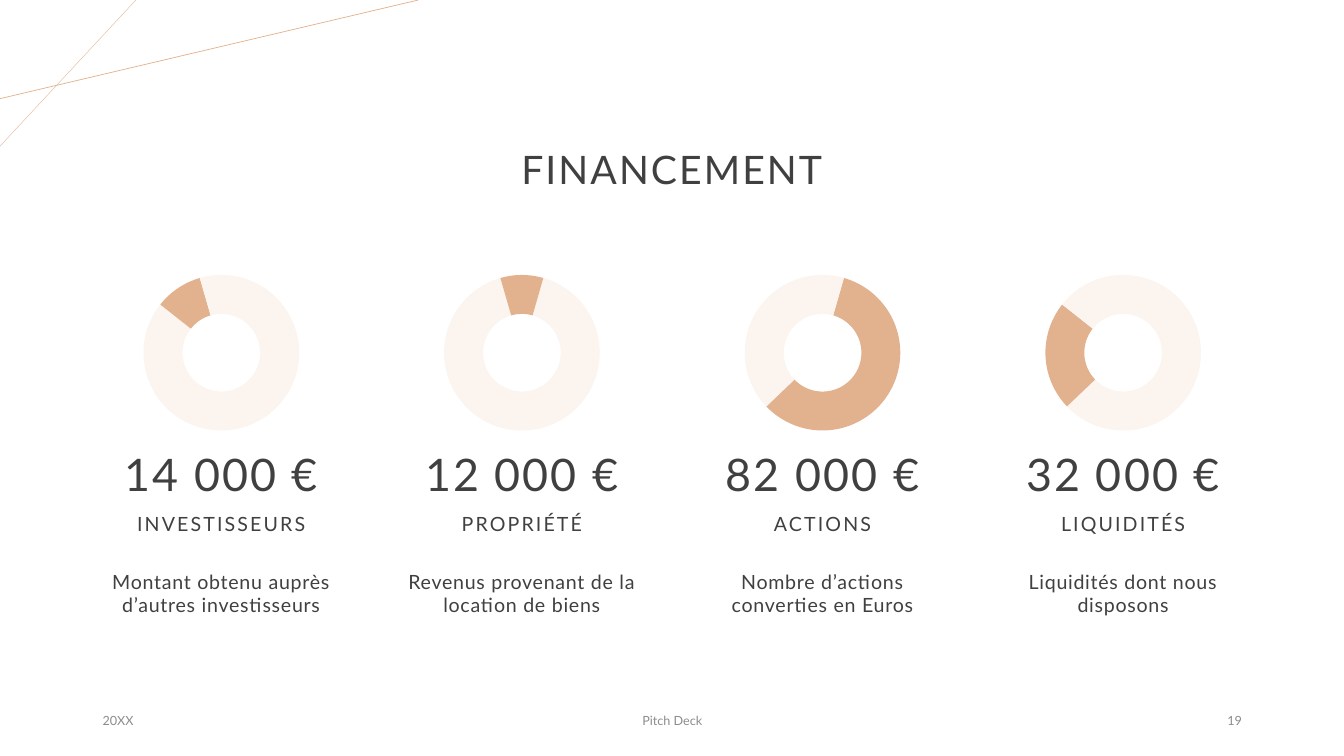
from pptx import Presentation
from pptx.chart.data import CategoryChartData
from pptx.dml.color import RGBColor
from pptx.enum.chart import XL_CHART_TYPE
from pptx.enum.text import MSO_ANCHOR, MSO_AUTO_SIZE, PP_ALIGN
from pptx.oxml import parse_xml
from pptx.oxml.ns import nsdecls, qn
from pptx.util import Pt
from lxml.etree import SubElement

INK = RGBColor(0x40, 0x40, 0x40)
GREY = RGBColor(0x8C, 0x8C, 0x8C)
SAND = RGBColor(0xE2, 0xB1, 0x8D)
PALE = RGBColor(0xFB, 0xF4, 0xEF)
BLACK = RGBColor(0, 0, 0)
FACE = "Lato"
WIDE, HIGH = 960, 540
SHARES = (59, 23, 10, 9)
FUNDS = (
    ("14 000 €", "INVESTISSEURS", "Montant obtenu auprès d’autres investisseurs", 2),
    ("12 000 €", "PROPRIÉTÉ", "Revenus provenant de la location de biens", 3),
    ("82 000 €", "ACTIONS", "Nombre d’actions converties en Euros", 0),
    ("32 000 €", "LIQUIDITÉS", "Liquidités dont nous disposons", 1),
)


def apply(item, style):
    for name, value in style.items():
        setattr(item, name, value)


def place(shape, box):
    names = ("left", "top", "width", "height")
    apply(shape, {name: Pt(value) for name, value in zip(names, box)})


def write(shape, text, size, color=INK, align=PP_ALIGN.CENTER,
          anchor=MSO_ANCHOR.MIDDLE, space=0, lead=1.0, side=7.2):
    frame = shape.text_frame
    frame.text = text
    apply(frame, {
        "word_wrap": True, "auto_size": MSO_AUTO_SIZE.NONE,
        "vertical_anchor": anchor,
        "margin_left": Pt(side), "margin_right": Pt(side),
        "margin_top": Pt(3.6), "margin_bottom": Pt(3.6),
    })
    para = frame.paragraphs[0]
    apply(para, {"alignment": align, "line_spacing": lead, "space_before": Pt(0)})
    run = para.runs[0]
    apply(run.font, {"name": FACE, "size": Pt(size), "bold": False})
    run.font.color.rgb = color
    if space:
        run.font._element.set("spc", str(int(space * 100)))


def label(slide, box, text, size, **style):
    shape = slide.shapes.add_textbox(*map(Pt, box))
    write(shape, text, size, **style)


def corner(slide, box):
    left, top, width, height = box
    rays = ((0.325, 1, 0.25), (1, 0.675, 0.5))
    for across, down, weight in rays:
        line = slide.shapes.add_connector(
            1, Pt(left + width * across), Pt(top), Pt(left), Pt(top + height * down))
        line.line.color.rgb = SAND
        line.line.width = Pt(weight)
        SubElement(line._element.spPr, qn("a:effectLst"))


def heading(slide, box):
    title = slide.shapes.title
    place(title, box)
    write(title, "FINANCEMENT", 28, space=1.5, lead=0.9)


def ring(slide, box, mark):
    data = CategoryChartData()
    data.categories = ("1", "2", "3", "4")
    data.add_series("Series 1", SHARES)
    chart = slide.shapes.add_chart(
        XL_CHART_TYPE.DOUGHNUT, *map(Pt, box), data).chart
    apply(chart, {"has_legend": False, "has_title": False})
    apply(chart.font, {"name": FACE, "size": Pt(10)})
    chart.font.color.rgb = BLACK
    plot = chart.plots[0]
    apply(plot, {"vary_by_categories": True, "has_data_labels": False})
    for index in range(len(SHARES)):
        look = plot.series[0].points[index].format
        look.fill.solid()
        look.fill.fore_color.rgb = SAND if index == mark else PALE
        look.line.fill.background()
    root = plot._element
    root.find(qn("c:firstSliceAng")).set("val", "16")
    root.find(qn("c:holeSize")).set("val", "80")
    area = root.getparent()
    for old in area.findall(qn("c:layout")):
        area.remove(old)
    parts = (("x", 0.12), ("y", 0.075), ("w", 0.76), ("h", 0.85))
    sizes = "".join(f'<c:{key} val="{value}"/>' for key, value in parts)
    area.insert(0, parse_xml(
        f'<c:layout {nsdecls("c")}><c:manualLayout><c:layoutTarget val="inner"/>'
        f'<c:xMode val="edge"/><c:yMode val="edge"/>{sizes}'
        '</c:manualLayout></c:layout>'))


def column(slide, box, fund):
    left, top, width, height = box
    sum_text, name, note, mark = fund
    ring(slide, (left + (width - 146.2) / 2, top, 146.2, 131), mark)
    low = {"anchor": MSO_ANCHOR.BOTTOM, "space": 1.5, "lead": 0.9, "side": 0}
    label(slide, (left, top + 111.6, width, 63.4), sum_text, 32, **low)
    label(slide, (left, top + 164.9, width, 34.6), name, 14, **low)
    label(slide, (left, top + 216.7, width, height - 216.7), note, 14,
          anchor=MSO_ANCHOR.TOP, space=0.5, side=0)


def columns(slide, box):
    left, top, width, height = box
    each = 183.8
    step = (width - each) / (len(FUNDS) - 1)
    for index, fund in enumerate(FUNDS):
        column(slide, (left + index * step, top, each, height), fund)


def footer(slide, box):
    left, top, width, height = box
    cells = (
        (left, 216, "20XX", PP_ALIGN.LEFT),
        (left + (width - 324) / 2, 324, "Pitch Deck", PP_ALIGN.CENTER),
        (left + width - 216, 216, "19", PP_ALIGN.RIGHT),
    )
    for start, span, text, align in cells:
        label(slide, (start, top, span, height), text, 9, color=GREY, align=align)


def main():
    deck = Presentation()
    apply(deck, {"slide_width": Pt(WIDE), "slide_height": Pt(HIGH)})
    slide = deck.slides.add_slide(deck.slide_layouts[5])
    corner(slide, (0, 0, 298.8, 104.4))
    heading(slide, (148.3, 70.6, 663.1, 104.4))
    columns(slide, (66.2, 186.5, 828, 283.7))
    footer(slide, (66.2, 500.4, 828, 28.8))
    deck.save("out.pptx")


if __name__ == "__main__":
    main()
